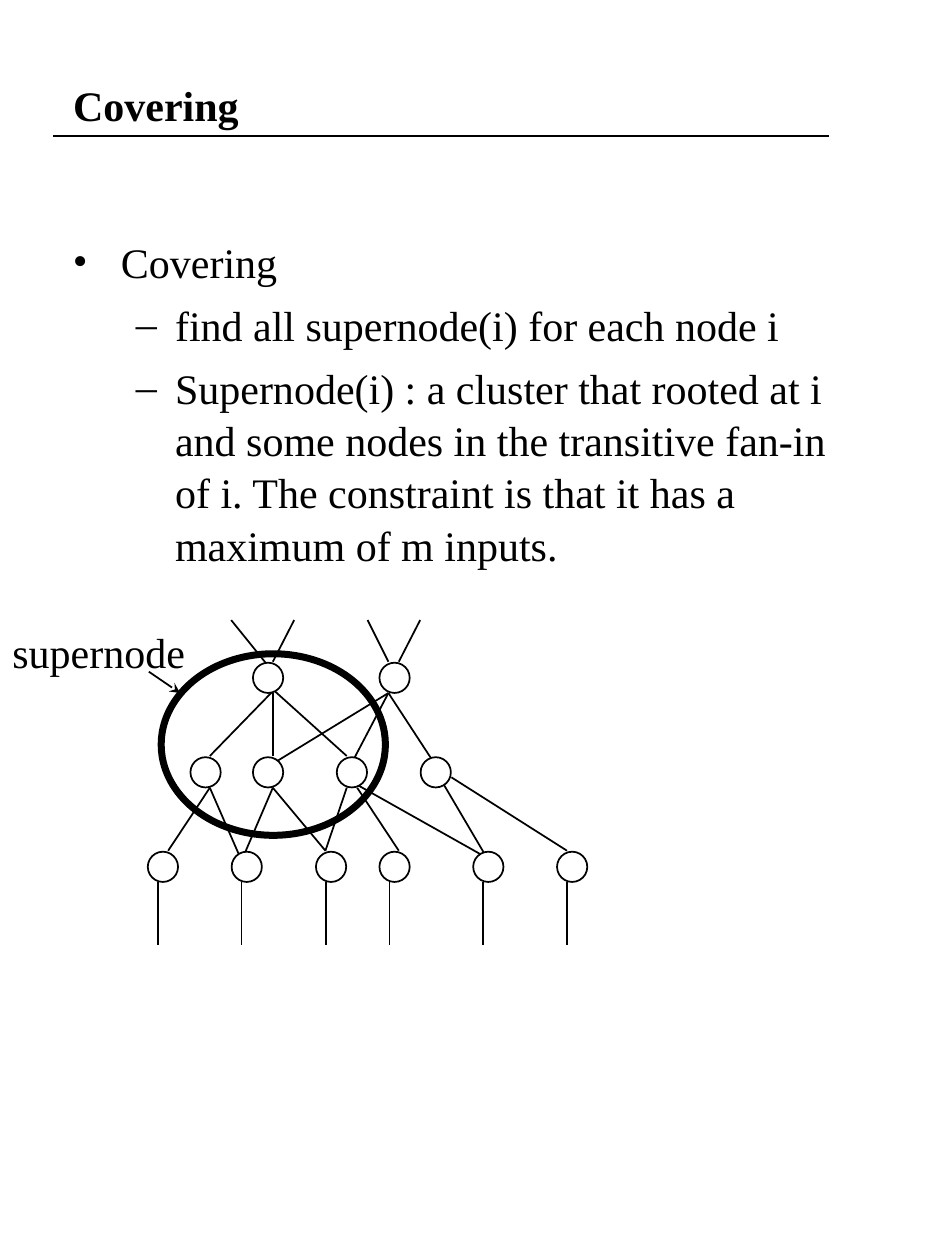
from dataclasses import dataclass

from lxml.etree import SubElement
from pptx import Presentation
from pptx.dml.color import RGBColor
from pptx.enum.shapes import MSO_CONNECTOR as Link, MSO_SHAPE as Preset
from pptx.enum.text import MSO_ANCHOR as Anchor, PP_ALIGN as Align
from pptx.oxml.ns import qn
from pptx.util import Cm, Pt


@dataclass(frozen=True)
class Theme:
    font: str = "Times New Roman"
    ink: RGBColor = RGBColor(0, 0, 0)
    paper: RGBColor = RGBColor(255, 255, 255)
    text_size: Pt = Pt(24)
    thin: Pt = Pt(1)
    thick: Pt = Pt(4)


THEME = Theme()
TITLE = "Covering"
POINTS = [
    (0, "Covering"),
    (1, "find all supernode(i) for each node i"),
    (1, "Supernode(i) : a cluster that rooted at i and some nodes in the "
        "transitive fan-in of i. The constraint is that it has a maximum "
        "of m inputs."),
]
BULLETS = [("•", 0.97, -0.97), ("–", 2.06, -0.79)]
LABEL = "supernode"

TITLE_BOX = (1.22, 0, 16.2, 4.24)
POINTS_BOX = (1.22, 4.6, 16.36, 7.06)
LABEL_BOX = (0, 12.5, 3.99, 1.27)
SUPERNODE = (3.25, 13.18, 4.52, 3.66)
TITLE_RULE = (1.07, 2.74, 16.71, 2.74)
POINTER = (3, 13.54, 3.63, 13.97)

NODE_SIZE = 0.61
FIRST_ROW, ROW_STEP = 13.36, 1.905
NODE_ROWS = [
    [5.1, 7.65],
    [3.84, 5.1, 6.79, 8.48],
    [2.98, 4.67, 6.37, 7.65, 9.54, 11.23],
]
LEAD_INSET, LEAD_TOP, LEAD_BOTTOM = 0.2, 17.78, 19.05

OUTPUTS = [
    (4.66, 12.5, 5.5, 13.54), (5.93, 12.5, 5.5, 13.34),
    (7.41, 12.5, 7.83, 13.34), (8.47, 12.5, 8.04, 13.34),
]
UPPER_EDGES = [
    (5.64, 13.79, 4.23, 15.24), (5.5, 13.97, 5.5, 15.24),
    (5.38, 13.79, 6.99, 15.24), (7.83, 13.97, 5.54, 15.37),
    (7.83, 13.97, 7.06, 15.44), (7.83, 13.97, 8.81, 15.47),
]
LOWER_EDGES = [
    (4.23, 15.88, 3.39, 17.15), (4.23, 15.88, 4.87, 17.35),
    (5.5, 15.88, 4.87, 17.35), (5.5, 15.88, 6.56, 17.15),
    (6.99, 15.88, 6.56, 17.15), (7.2, 15.88, 8.04, 17.15),
    (7.11, 15.77, 9.74, 17.25), (8.86, 15.67, 9.86, 17.37),
    (9.1, 15.67, 11.43, 17.15),
]


def lengths(values):
    return [Cm(value) for value in values]


def style(paragraph, bold=False):
    paragraph.alignment = Align.LEFT
    for run in paragraph.runs:
        run.font.name = THEME.font
        run.font.size = THEME.text_size
        run.font.bold = bold
        run.font.color.rgb = THEME.ink


def add_line(slide, ends, arrow=False):
    line = slide.shapes.add_connector(Link.STRAIGHT, *lengths(ends))
    line.line.color.rgb = THEME.ink
    line.line.width = THEME.thin
    if arrow:
        SubElement(line.line._get_or_add_ln(), qn("a:tailEnd"), type="stealth")
    SubElement(line._element.spPr, qn("a:effectLst"))


def add_ellipse(slide, box, width):
    ellipse = slide.shapes.add_shape(Preset.OVAL, *lengths(box))
    ellipse.shadow.inherit = False
    ellipse.fill.solid()
    ellipse.fill.fore_color.rgb = THEME.paper
    ellipse.line.color.rgb = THEME.ink
    ellipse.line.width = width


def add_title(slide):
    title = slide.shapes.title
    title.left, title.top, title.width, title.height = lengths(TITLE_BOX)
    title.text_frame.text = TITLE
    title.text_frame.vertical_anchor = Anchor.MIDDLE
    style(title.text_frame.paragraphs[0], bold=True)


def add_points(slide):
    frame = slide.shapes.add_textbox(*lengths(POINTS_BOX)).text_frame
    frame.word_wrap = True
    frame.text = "\n".join(text for _, text in POINTS)
    for index, (paragraph, (level, _)) in enumerate(zip(frame.paragraphs, POINTS)):
        mark, margin, indent = BULLETS[level]
        paragraph.level = level
        paragraph.line_spacing = 1.04
        paragraph.space_before = Pt(6 if index else 0)
        properties = paragraph._p.get_or_add_pPr()
        properties.set("marL", str(Cm(margin)))
        properties.set("indent", str(Cm(indent)))
        SubElement(properties, qn("a:buFont"), typeface=THEME.font)
        SubElement(properties, qn("a:buChar"), char=mark)
        style(paragraph)


def add_label(slide):
    frame = slide.shapes.add_textbox(*lengths(LABEL_BOX)).text_frame
    frame.word_wrap = False
    frame.text = LABEL
    style(frame.paragraphs[0])


def add_network(slide):
    add_ellipse(slide, SUPERNODE, THEME.thick)
    leads = [(left + LEAD_INSET, LEAD_TOP, left + LEAD_INSET, LEAD_BOTTOM)
             for left in NODE_ROWS[-1]]
    for ends in OUTPUTS + UPPER_EDGES + LOWER_EDGES + leads:
        add_line(slide, ends)
    for row, lefts in enumerate(NODE_ROWS):
        for left in lefts:
            top = FIRST_ROW + row * ROW_STEP
            add_ellipse(slide, (left, top, NODE_SIZE, NODE_SIZE), THEME.thin)


def main():
    deck = Presentation()
    deck.slide_width, deck.slide_height = Cm(19.05), Cm(25.4)
    slide = deck.slides.add_slide(deck.slide_layouts[5])
    add_title(slide)
    add_line(slide, TITLE_RULE)
    add_points(slide)
    add_network(slide)
    add_line(slide, POINTER, arrow=True)
    add_label(slide)
    deck.save("out.pptx")


if __name__ == "__main__":
    main()
